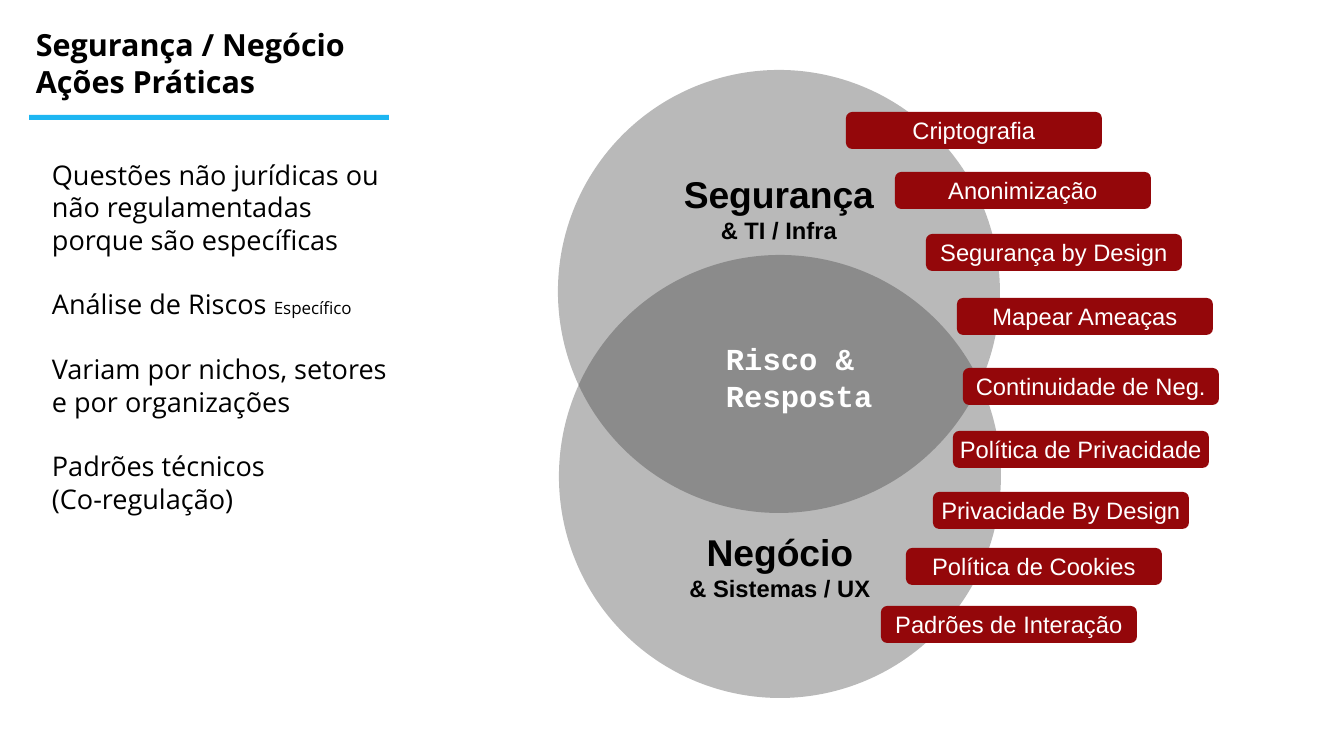
from lxml import etree
from pptx import Presentation
from pptx import util as u
from pptx.dml.color import RGBColor
from pptx.enum import shapes, text
from pptx.oxml.ns import qn

ACTIONS = [
    ("Criptografia", 846, 112),
    ("Anonimização", 895, 172),
    ("Segurança by Design", 926, 234),
    ("Mapear Ameaças", 957, 298),
    ("Continuidade de Neg.", 963, 368),
    ("Política de Privacidade", 953, 431),
    ("Privacidade By Design", 933, 492),
    ("Política de Cookies", 906, 548),
    ("Padrões de Interação", 881, 606),
]
NOTES = [
    "Questões não jurídicas ou não regulamentadas porque são específicas",
    "Análise de Riscos ",
    "Variam por nichos, setores e por organizações",
    "Padrões técnicos \v(Co-regulação)",
]


def px(n):
    """Turn pixels into EMU."""
    return u.Emu(round(n * 914400 / 122))


def color(value):
    """Turn a hex string into a colour."""
    return RGBColor.from_string(value)


def write(tf, lines, font, ink, bold=False, align=text.PP_ALIGN.LEFT, gap=0):
    """Fill a text frame with (text, size) lines."""
    for i, (line, size) in enumerate(lines):
        p = tf.add_paragraph() if i else tf.paragraphs[0]
        p.text = line
        p.alignment = align
        p.space_before = u.Pt(gap if i else 0)
        p.font.name = font
        p.font.size = u.Pt(size)
        p.font.bold = bold
        p.font.color.rgb = color(ink)


def add_shape(s, kind, box, fill):
    """Add a flat shape without an outline."""
    sp = s.shapes.add_shape(kind, *map(px, box))
    sp.shadow.inherit = False
    sp.fill.solid()
    sp.fill.fore_color.rgb = color(fill)
    sp.line.fill.background()
    return sp


def add_circle(s, box, title, subtitle, anchor, top=6, bottom=6):
    """Add a translucent Venn circle with its heading."""
    sp = add_shape(s, shapes.MSO_SHAPE.OVAL, box, "333333")
    clr = sp.element.spPr.find(".//" + qn("a:srgbClr"))
    etree.SubElement(clr, qn("a:alpha"), val="34000")
    tf = sp.text_frame
    tf.word_wrap = False
    tf.vertical_anchor = anchor
    tf.margin_top, tf.margin_bottom = px(top), px(bottom)
    write(tf, [(title, 22), (subtitle, 14)], "Arial", "000000", True,
          text.PP_ALIGN.CENTER)


def add_action(s, label, x, y):
    """Add a red action label."""
    sp = add_shape(s, shapes.MSO_SHAPE.ROUNDED_RECTANGLE, (x, y, 256, 37), "94070A")
    tf = sp.text_frame
    tf.word_wrap = False
    tf.vertical_anchor = text.MSO_ANCHOR.MIDDLE
    write(tf, [(label, 14)], "Arial", "FFFFFF", align=text.PP_ALIGN.CENTER)


def add_text(s, box, lines, font, ink, bold=False, wrap=True, gap=0):
    """Add a text box and return its text frame."""
    tf = s.shapes.add_textbox(*map(px, box)).text_frame
    tf.word_wrap = wrap
    write(tf, lines, font, ink, bold, gap=gap)
    return tf


def main():
    """Build the slide."""
    prs = Presentation()
    prs.slide_width, prs.slide_height = px(1344), px(756)
    s = prs.slides.add_slide(prs.slide_layouts[6])

    add_circle(s, (558, 70, 442, 443), "Segurança", "& TI / Infra",
               text.MSO_ANCHOR.TOP, top=36)
    add_circle(s, (559, 255, 442, 443), "Negócio", "& Sistemas / UX",
               text.MSO_ANCHOR.BOTTOM, bottom=31)

    add_shape(s, shapes.MSO_SHAPE.RECTANGLE, (29, 115, 360, 5), "1DB6F2")
    add_text(s, (24, 20, 373, 95),
             [("Segurança / Negócio", 18), ("Ações Práticas", 18)],
             "Open Sans", "000000", bold=True)

    tf = add_text(s, (40, 152, 381, 556), [(note, 16) for note in NOTES],
                  "Open Sans", "000000", gap=19)
    r = tf.paragraphs[1].add_run()
    r.text = "Específico"
    r.font.size = u.Pt(10)

    add_text(s, (714, 334, 171, 83), [("Risco &", 18), ("Resposta", 18)],
             "Courier New", "FFFFFF", bold=True, wrap=False)
    for action in ACTIONS:
        add_action(s, *action)

    prs.save("out.pptx")


if __name__ == "__main__":
    main()
